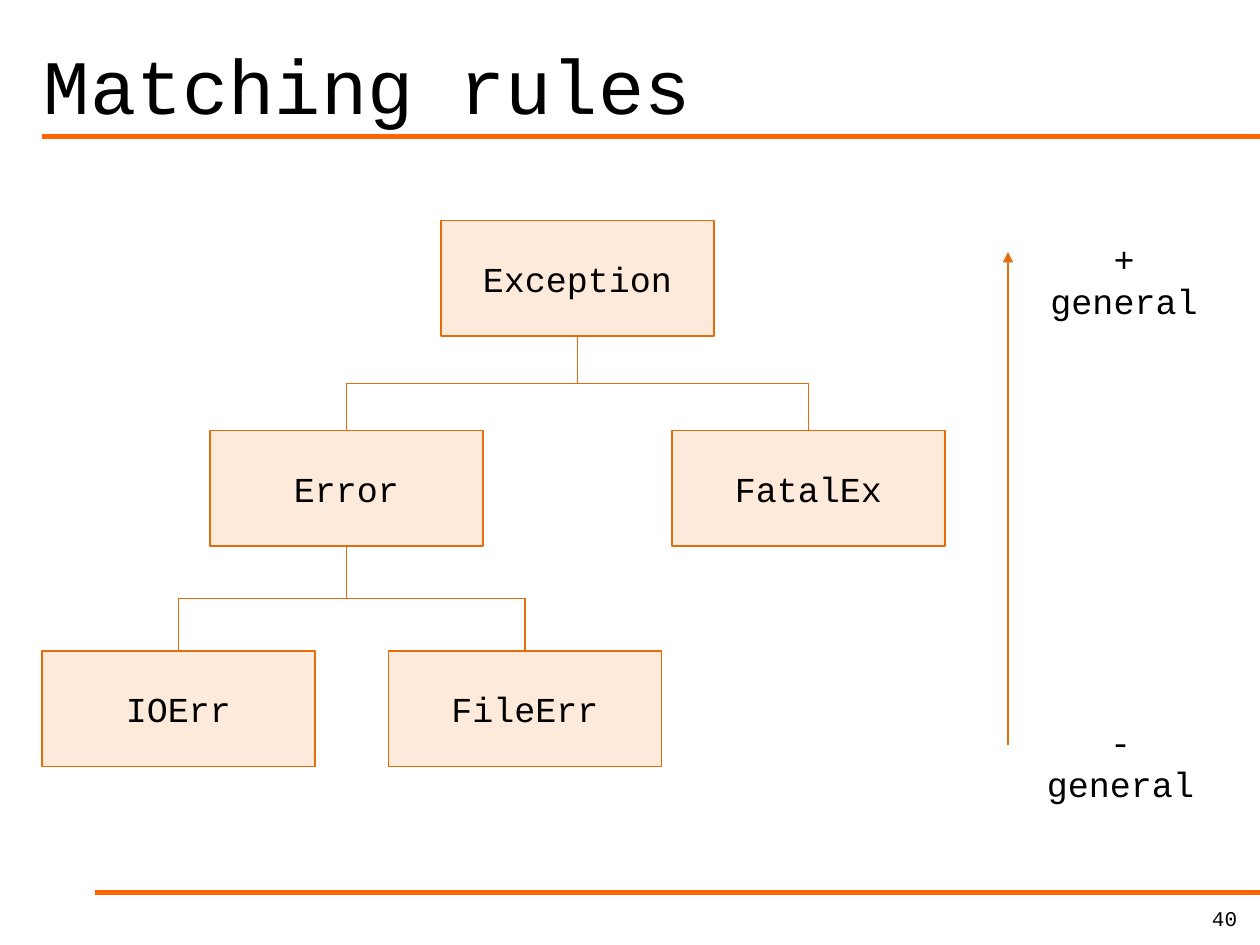
from dataclasses import dataclass
from lxml import etree
from pptx import Presentation
from pptx.dml.color import RGBColor
from pptx.enum.shapes import MSO_CONNECTOR as CONN, MSO_SHAPE as SHAPE
from pptx.enum.text import MSO_ANCHOR as ANCHOR, PP_ALIGN as ALIGN
from pptx.oxml.ns import qn
from pptx.util import Pt


@dataclass(frozen=True)
class Theme:
    font: str = "Courier New"
    ink: RGBColor = RGBColor(0, 0, 0)
    rule: RGBColor = RGBColor(0xFF, 0x66, 0x00)
    edge: RGBColor = RGBColor(0xE4, 0x6C, 0x0A)
    node: RGBColor = RGBColor(0xFD, 0xEA, 0xDA)
    title: int = 44
    body: int = 20
    small: int = 12
    thick: float = 3
    thin: float = 0.75


THEME = Theme()
NODE_W, NODE_H = 156, 66
NODES = {
    "Exception": (228, 0, None),
    "Error": (96, 120, "Exception"),
    "FatalEx": (360, 120, "Exception"),
    "FileErr": (198, 246, "Error"),
    "IOErr": (0, 246, "Error"),
}


def write(sp, text, size, align=ALIGN.LEFT, anchor=ANCHOR.TOP, wrap=True):
    tf = sp.text_frame
    tf.text = text
    tf.word_wrap = wrap
    tf.vertical_anchor = anchor
    p = tf.paragraphs[0]
    p.alignment = align
    font = p.runs[0].font
    font.name, font.size = THEME.font, Pt(size)
    font.color.rgb = THEME.ink


def add_text(s, box, text, size, **style):
    write(s.shapes.add_textbox(*map(Pt, box)), text, size, **style)


def add_line(s, kind, points, color, weight):
    line = s.shapes.add_connector(kind, *map(Pt, points))
    line.line.color.rgb = color
    line.line.width = Pt(weight)
    etree.SubElement(line._element.spPr, qn("a:effectLst"))
    return line


def add_frame(s, box):
    left, top, width, height = box
    right = left + width
    add_line(s, CONN.STRAIGHT, (right, 78, 24, 78), THEME.rule, THEME.thick)
    add_line(s, CONN.STRAIGHT, (right, 510, 54, 510), THEME.rule, THEME.thick)
    add_text(s, (left + 18, top, 678, 78), "Matching rules", THEME.title,
             anchor=ANCHOR.BOTTOM)
    add_text(s, (right - 156, height - 26, 150, 18), "40", THEME.small,
             align=ALIGN.RIGHT)


def add_node(s, left, top, text):
    sp = s.shapes.add_shape(SHAPE.RECTANGLE, Pt(left), Pt(top), Pt(NODE_W), Pt(NODE_H))
    sp.shadow.inherit = False
    sp.fill.solid()
    sp.fill.fore_color.rgb = THEME.node
    sp.line.color.rgb = THEME.edge
    sp.line.width = Pt(THEME.thin)
    write(sp, text, THEME.body, ALIGN.CENTER, ANCHOR.MIDDLE, wrap=False)
    return sp


def add_branch(s, child, parent):
    x1, y1 = child.left + child.width // 2, child.top
    x2, y2 = parent.left + parent.width // 2, parent.top + parent.height
    line = add_line(s, CONN.ELBOW, (0, 0, 0, 0), THEME.edge, THEME.thin)
    line.begin_connect(child, 0)
    line.end_connect(parent, 2)
    line.width, line.height = y1 - y2, abs(x2 - x1)
    line.left = (x1 + x2 - line.width) // 2
    line.top = (y1 + y2 - line.height) // 2
    from_right = x1 > x2
    xfrm = line._element.spPr.find(qn("a:xfrm"))
    xfrm.set("rot", str((90 if from_right else 270) * 60000))
    xfrm.set("flipH", str(int(from_right)))
    xfrm.set("flipV", "0")


def add_tree(s, left, top):
    placed = {}
    for name, (x, y, parent) in NODES.items():
        placed[name] = add_node(s, left + x, top + y, name)
        if parent:
            add_branch(s, placed[name], placed[parent])


def add_scale(s, box):
    left, top, width, height = box
    arrow = add_line(s, CONN.STRAIGHT, (left, top + height, left, top),
                     THEME.edge, THEME.thin)
    etree.SubElement(arrow.line._get_or_add_ln(), qn("a:tailEnd"), type="triangle")
    for text, y, w in (("+ general", top - 12, width - 12),
                       ("- general", top + height - 18, width - 16)):
        add_text(s, (left + 12, y, w, 31), text, THEME.body, align=ALIGN.CENTER)


def main():
    prs = Presentation()
    prs.slide_width, prs.slide_height = Pt(720), Pt(540)
    s = prs.slides.add_slide(prs.slide_layouts[6])
    add_frame(s, (0, 0, 720, 540))
    add_tree(s, 24, 126)
    add_scale(s, (576, 144, 120.7, 282))
    prs.save("out.pptx")


if __name__ == "__main__":
    main()
